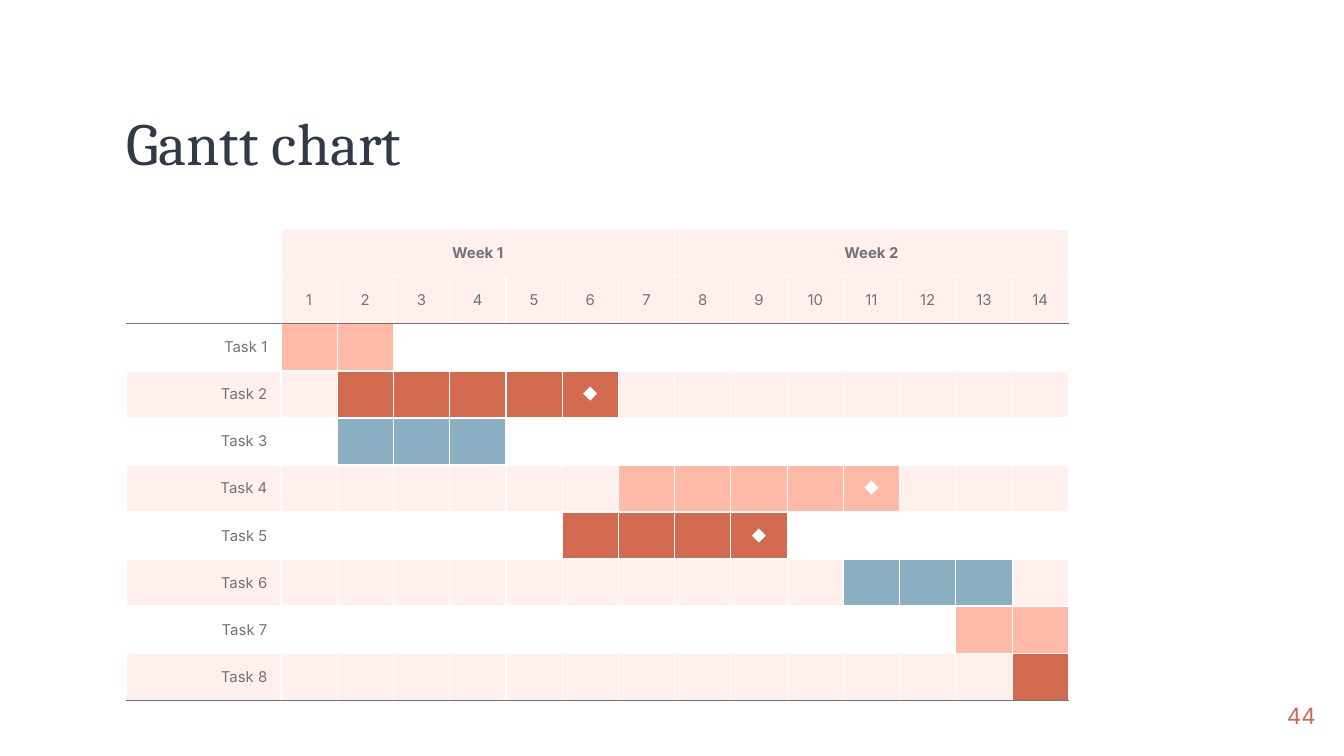
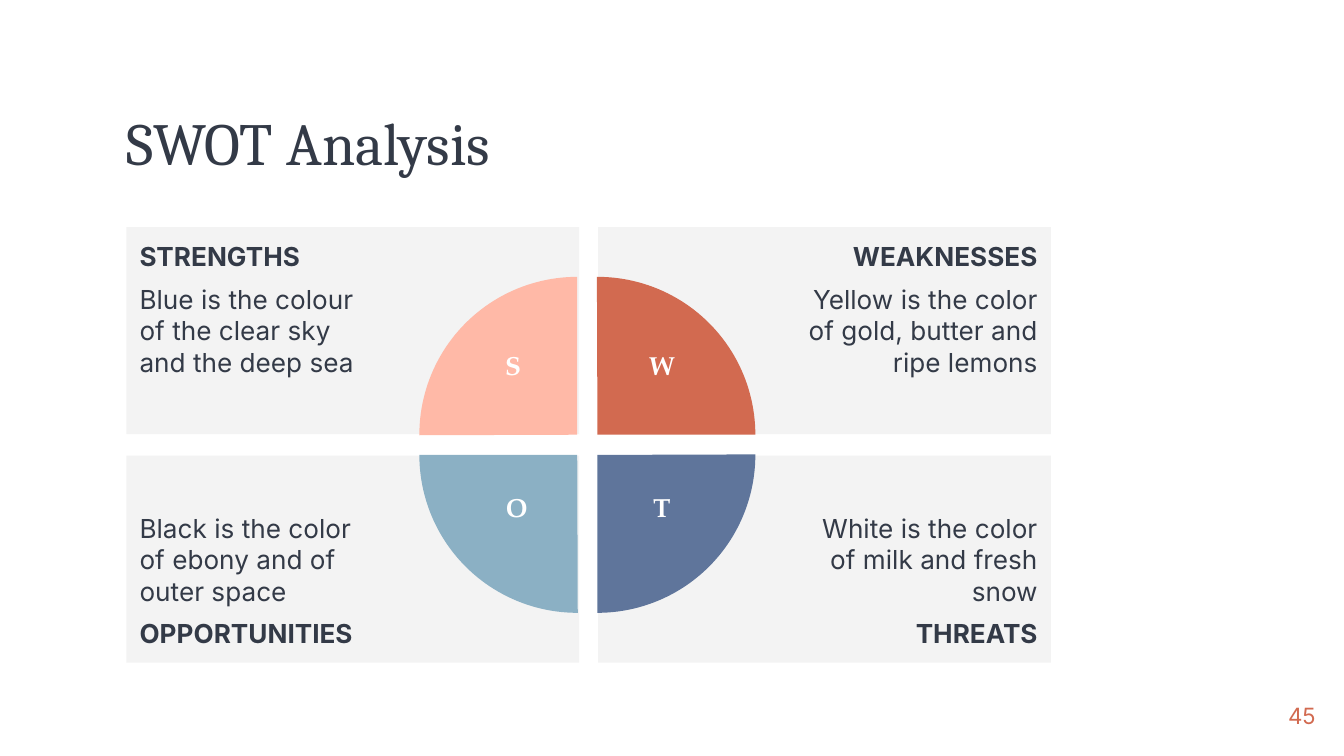
from dataclasses import dataclass

from lxml import etree
from pptx import Presentation
from pptx.dml.color import RGBColor
from pptx.enum.shapes import MSO_SHAPE
from pptx.enum.text import MSO_ANCHOR, PP_ALIGN
from pptx.oxml.ns import qn
from pptx.util import Pt

PX = 4572
LEFT, CENTER, RIGHT = PP_ALIGN.LEFT, PP_ALIGN.CENTER, PP_ALIGN.RIGHT
TOP, MIDDLE, BOTTOM = MSO_ANCHOR.TOP, MSO_ANCHOR.MIDDLE, MSO_ANCHOR.BOTTOM
RECT, PIE = MSO_SHAPE.RECTANGLE, MSO_SHAPE.PIE

NAVY, GRAY, LIGHT, WHITE = "333A47", "707379", "F3F3F3", "FFFFFF"
BLUSH, PEACH, RUST, SKY, INDIGO = "FFF0ED", "FFB9A7", "D26A50", "8BB0C4", "5F759B"
SERIF, SANS, LETTER = "Cambria", "Inter", "TeX Gyre Pagella"

MARGIN = 188
DAYS = 14
WEEK = 7
HEADER_ROWS = 2
TABLE_TOP, TABLE_W, LABEL_W, ROW_H = 342, 1402, 230, 70
BOX_W, BOX_H, BOX_TOP, BOX_DX, BOX_DY = 674, 308, 338, 702, 340
PIE_LEFT, PIE_TOP, PIE_SIZE, PIE_GAP = 624, 412, 470, 30


@dataclass(frozen=True)
class Style:
    size: int
    color: str
    font: str = SANS
    bold: bool = False


@dataclass(frozen=True)
class Task:
    first: int
    last: int
    color: str
    milestone: bool = False


@dataclass(frozen=True)
class Quadrant:
    col: int
    row: int
    heading: str
    body: str
    color: str
    rotation: int
    letter_at: tuple[int, int, int, int]


TITLE = Style(32, NAVY, SERIF)
NUMBER = Style(12, RUST)
HEADING = Style(14, NAVY, bold=True)
BODY = Style(14, NAVY)
INITIAL = Style(14, WHITE, LETTER, True)
CELL = Style(8, GRAY)
CELL_BOLD = Style(8, GRAY, bold=True)
DIAMOND = Style(8, WHITE)

TASKS = [
    Task(1, 2, PEACH),
    Task(2, 6, RUST, True),
    Task(2, 4, SKY),
    Task(7, 11, PEACH, True),
    Task(6, 9, RUST, True),
    Task(11, 13, SKY),
    Task(13, 14, PEACH),
    Task(14, 14, RUST),
]

QUADRANTS = [
    Quadrant(0, 0, "STRENGTHS", "Blue is the colour of the clear sky and the deep sea",
             PEACH, 0, (732, 510, 58, 88)),
    Quadrant(1, 0, "WEAKNESSES", "Yellow is the color of gold, butter and ripe lemons",
             RUST, 90, (926, 510, 118, 86)),
    Quadrant(0, 1, "OPPORTUNITIES", "Black is the color of ebony and of outer space",
             SKY, 270, (726, 722, 86, 88)),
    Quadrant(1, 1, "THREATS", "White is the color of milk and fresh snow",
             INDIGO, 180, (948, 722, 74, 86)),
]


def px(n: int) -> int:
    return n * PX


def rgb(color: str) -> RGBColor:
    return RGBColor.from_string(color)


def set_text(p, text: str, style: Style, align=LEFT) -> None:
    p.text = text
    p.alignment = align
    f = p.font
    f.size, f.name, f.bold = Pt(style.size), style.font, style.bold
    f.color.rgb = rgb(style.color)


def set_margins(obj, left: int, top: int, right: int, bottom: int) -> None:
    obj.margin_left, obj.margin_top = px(left), px(top)
    obj.margin_right, obj.margin_bottom = px(right), px(bottom)


def add_text(s, box: tuple[int, int, int, int], text: str, style: Style,
             align=LEFT, anchor=MIDDLE, inset: tuple[int, int] = (0, 0)):
    tf = s.shapes.add_textbox(*map(px, box)).text_frame
    tf.word_wrap = True
    tf.vertical_anchor = anchor
    set_margins(tf, *inset, *inset)
    p = tf.paragraphs[0]
    set_text(p, text, style, align)
    return p


def add_solid(s, kind, box: tuple[int, int, int, int], color: str):
    sp = s.shapes.add_shape(kind, *map(px, box))
    sp.shadow.inherit = False
    sp.fill.solid()
    sp.fill.fore_color.rgb = rgb(color)
    sp.line.fill.background()
    return sp


def add_slide(prs, title: str, number: int):
    s = prs.slides.add_slide(prs.slide_layouts[6])
    add_text(s, (MARGIN, 164, 996, 106), title, TITLE).line_spacing = 0.9
    add_text(s, (1838, 1022, 120, 86), str(number), NUMBER, RIGHT)
    return s


def set_borders(cell, top: str, bottom: str) -> None:
    tc_pr = cell._tc.get_or_add_tcPr()
    sides = {"lnL": WHITE, "lnR": WHITE, "lnT": top, "lnB": bottom}
    for i, (side, color) in enumerate(sides.items()):
        ln = etree.Element(qn(f"a:{side}"), w=str(Pt(0.75)))
        fill = etree.SubElement(ln, qn("a:solidFill"))
        etree.SubElement(fill, qn("a:srgbClr"), val=color)
        tc_pr.insert(i, ln)


def cell_content(row: int, col: int) -> tuple[str, Style, PP_ALIGN, str | None]:
    if row < HEADER_ROWS:
        if col == 0:
            return "", CELL, CENTER, None
        if row == 1:
            return str(col), CELL, CENTER, BLUSH
        starts_week = col % WEEK == 1
        return f"Week {col // WEEK + 1}" if starts_week else "", CELL_BOLD, CENTER, BLUSH
    band = BLUSH if row % 2 else None
    if col == 0:
        return f"Task {row - HEADER_ROWS + 1}", CELL, RIGHT, band
    task = TASKS[row - HEADER_ROWS]
    if task.first <= col <= task.last:
        mark = "◆" if task.milestone and col == task.last else ""
        return mark, DIAMOND, CENTER, task.color
    return "", CELL, CENTER, band


def draw_gantt(prs) -> None:
    s = add_slide(prs, "Gantt chart", 44)
    rows = HEADER_ROWS + len(TASKS)
    table = s.shapes.add_table(rows, DAYS + 1, px(MARGIN), px(TABLE_TOP),
                               px(TABLE_W), px(ROW_H * rows)).table
    table.first_row = table.horz_banding = False
    for col, column in enumerate(table.columns):
        column.width = px(TABLE_W - LABEL_W) // DAYS if col else px(LABEL_W)
    for row in range(rows):
        table.rows[row].height = px(ROW_H)
        for col in range(DAYS + 1):
            cell = table.cell(row, col)
            text, style, align, color = cell_content(row, col)
            set_text(cell.text_frame.paragraphs[0], text, style, align)
            cell.vertical_anchor = MIDDLE
            set_margins(cell, *((20, 10, 20, 10) if text else (0, 0, 0, 0)))
            if color:
                cell.fill.solid()
                cell.fill.fore_color.rgb = rgb(color)
            else:
                cell.fill.background()
            set_borders(cell, GRAY if row == HEADER_ROWS else WHITE,
                        GRAY if row in (HEADER_ROWS - 1, rows - 1) else WHITE)
    for col in range(1, DAYS, WEEK):
        table.cell(0, col).merge(table.cell(0, col + WEEK - 1))


def draw_panel(s, q: Quadrant) -> None:
    box = (MARGIN + q.col * BOX_DX, BOX_TOP + q.row * BOX_DY, BOX_W, BOX_H)
    tf = add_solid(s, RECT, box, LIGHT).text_frame
    tf.word_wrap = True
    tf.vertical_anchor = BOTTOM if q.row else TOP
    set_margins(tf, *((300, 20, 20, 20) if q.col else (20, 20, 300, 20)))
    lines = [(q.heading, HEADING), (q.body, BODY)]
    if q.row:
        lines.reverse()
    align = RIGHT if q.col else LEFT
    for i, (text, style) in enumerate(lines):
        p = tf.add_paragraph() if i else tf.paragraphs[0]
        set_text(p, text, style, align)
        if i:
            p.space_before = p.space_after = Pt(6)


def draw_pie(s, q: Quadrant) -> None:
    box = (PIE_LEFT + q.col * PIE_GAP, PIE_TOP + q.row * PIE_GAP, PIE_SIZE, PIE_SIZE)
    sp = add_solid(s, PIE, box, q.color)
    sp.adjustments[0], sp.adjustments[1] = 107.89, 162
    sp.rotation = q.rotation


def draw_swot(prs) -> None:
    s = add_slide(prs, "SWOT Analysis", 45)
    for q in QUADRANTS:
        draw_panel(s, q)
    for q in sorted(QUADRANTS, key=lambda q: q.rotation):
        draw_pie(s, q)
    for q in QUADRANTS:
        add_text(s, q.letter_at, q.heading[0], INITIAL, CENTER, TOP, (20, 10))


def main() -> None:
    prs = Presentation()
    prs.slide_width, prs.slide_height = px(2000), px(1125)
    draw_gantt(prs)
    draw_swot(prs)
    prs.save("out.pptx")


if __name__ == "__main__":
    main()
